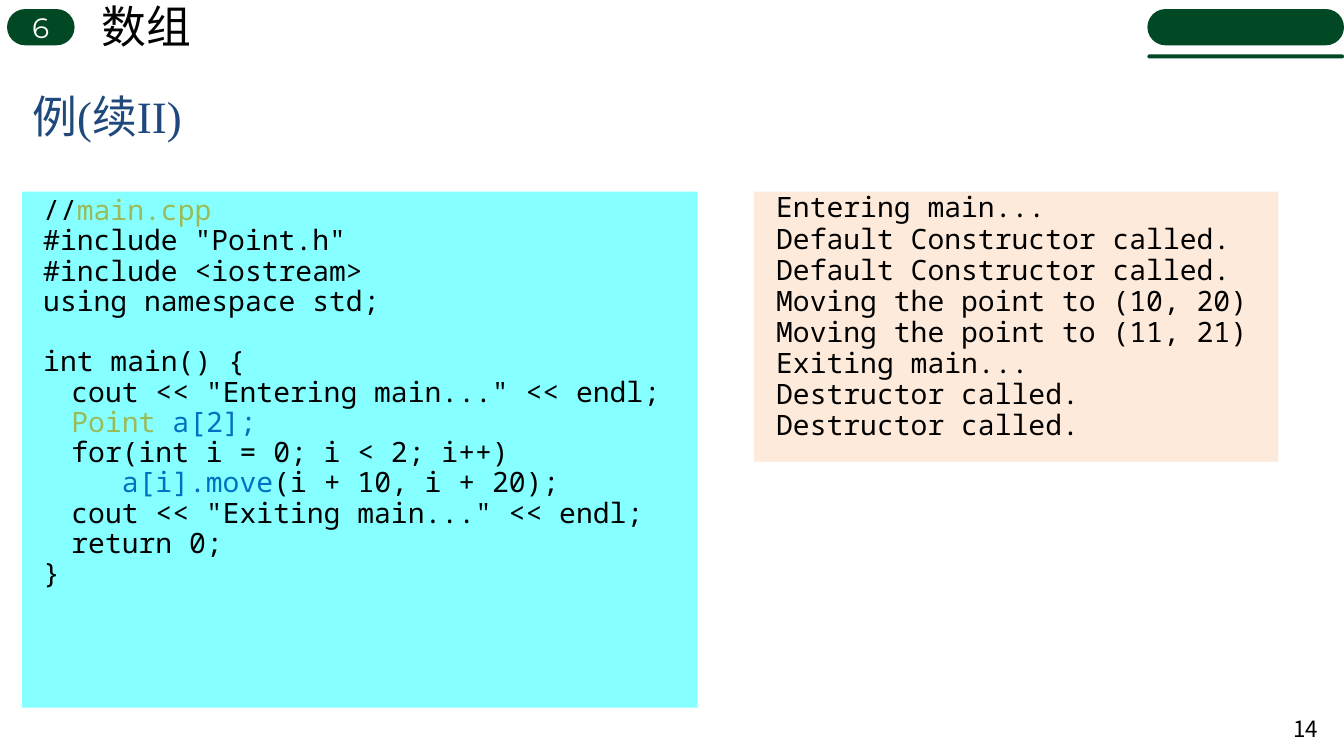
from dataclasses import dataclass

from lxml import etree
from pptx import Presentation
from pptx.dml.color import RGBColor
from pptx.enum.shapes import MSO_SHAPE
from pptx.enum.text import MSO_ANCHOR, MSO_AUTO_SIZE, PP_ALIGN
from pptx.oxml.ns import qn
from pptx.util import Inches, Pt

RECT, PILL = MSO_SHAPE.RECTANGLE, MSO_SHAPE.ROUNDED_RECTANGLE
TOP, MIDDLE = MSO_ANCHOR.TOP, MSO_ANCHOR.MIDDLE
LEFT, CENTER, RIGHT = PP_ALIGN.LEFT, PP_ALIGN.CENTER, PP_ALIGN.RIGHT
FIT_SHAPE, FIT_NONE = MSO_AUTO_SIZE.SHAPE_TO_FIT_TEXT, MSO_AUTO_SIZE.NONE


@dataclass(frozen=True)
class Theme:
    black: str = "000000"
    white: str = "FFFFFF"
    green: str = "014924"
    navy: str = "1F497D"
    olive: str = "9BBB59"
    blue: str = "0070C0"
    cyan: str = "85FFFF"
    peach: str = "FDEADA"
    heading_font: str = "Arial"
    badge_font: str = "Montserrat"
    title_font: str = "Times New Roman"
    code_font: str = "Noto Sans Mono"
    cjk_font: str = "Noto Sans CJK SC"
    title_size: int = 32
    code_size: int = 20
    number_size: int = 16


class Deck:
    def __init__(self, theme):
        self.theme = theme
        self.prs = Presentation()
        self.prs.slide_width = Inches(13.33)
        self.prs.slide_height = Inches(7.5)
        self.slide = self.prs.slides.add_slide(self.prs.slide_layouts[5])

    def run(self, p, text, size, font, color):
        r = p.add_run()
        r.text = text
        r.font.size = Pt(size)
        r.font.name = font
        r.font.color.rgb = RGBColor.from_string(color)
        etree.SubElement(r.font._element, qn("a:ea"), typeface=self.theme.cjk_font)

    def line(self, tf, text, size, font, color, align=LEFT, anchor=MIDDLE):
        tf.vertical_anchor = anchor
        p = tf.paragraphs[0]
        p.alignment = align
        self.run(p, text, size, font, color)
        return p

    def title(self, box, text):
        s = self.slide.shapes.title
        s.left, s.top, s.width, s.height = map(Inches, box)
        s.text_frame.auto_size = FIT_NONE
        t = self.theme
        p = self.line(s.text_frame, text, t.title_size, t.title_font, t.navy)
        p.line_spacing = 0.9

    def text(self, box, text, size, font, wrap=True, **layout):
        s = self.slide.shapes.add_textbox(*map(Inches, box))
        s.text_frame.word_wrap = wrap
        s.text_frame.auto_size = FIT_NONE if wrap else FIT_SHAPE
        self.line(s.text_frame, text, size, font, self.theme.black, **layout)

    def shape(self, kind, box, color):
        s = self.slide.shapes.add_shape(kind, *map(Inches, box))
        s.shadow.inherit = False
        s.fill.solid()
        s.fill.fore_color.rgb = RGBColor.from_string(color)
        s.line.fill.background()
        if kind == PILL:
            s.adjustments[0] = 0.5
        return s

    def listing(self, box, fill, lines, spacing, before=0, indent=0.39):
        t = self.theme
        tf = self.shape(RECT, box, fill).text_frame
        tf.word_wrap = True
        tf.vertical_anchor = TOP
        for i, runs in enumerate(lines):
            p = tf.add_paragraph() if i else tf.paragraphs[0]
            p.alignment = LEFT
            p.line_spacing = spacing
            p.space_before = Pt(before if i else 0)
            pPr = p._p.get_or_add_pPr()
            pPr.set("marL", str(Inches(indent)))
            pPr.set("indent", str(Inches(-0.28)))
            for text, color in runs:
                self.run(p, text, t.code_size, t.code_font, color)
            if not runs:
                end = etree.SubElement(p._p, qn("a:endParaRPr"), sz=str(t.code_size * 100))
                etree.SubElement(end, qn("a:latin"), typeface=t.code_font)


def main():
    t = Theme()
    deck = Deck(t)

    # Header: chapter badge, chapter name, corner bars
    badge = deck.shape(PILL, (0.07, 0.09, 0.67, 0.36), t.green)
    deck.line(badge.text_frame, "6", t.code_size, t.badge_font, t.white, CENTER)
    deck.text((0.91, -0.06, 1.1, 0.64), "数组", t.title_size, t.heading_font,
              wrap=False, anchor=TOP)
    for top, height in ((0.09, 0.36), (0.54, 0.04)):
        deck.shape(PILL, (11.38, top, 1.95, height), t.green)

    # Page number and title
    deck.text((12.68, 7.03, 0.49, 0.4), "14", t.number_size, t.cjk_font, align=RIGHT)
    deck.title((0.22, 0.86, 7.04, 0.64), "例(续II)")

    # Program
    code = [
        [("//", t.black), ("main.cpp", t.olive)],
        [('#include "Point.h"', t.black)],
        [("#include <iostream>", t.black)],
        [("using namespace std;", t.black)],
        [],
        [("int main() {", t.black)],
        [('\tcout << "Entering main..." << endl;', t.black)],
        [("\t", t.black), ("Point ", t.olive), ("a[2];", t.blue)],
        [("\tfor(int i = 0; i < 2; i++)", t.black)],
        [("\t\ta[i].move", t.blue), ("(i + 10, i + 20);", t.black)],
        [('\tcout << "Exiting main..." << endl;', t.black)],
        [("\treturn 0;", t.black)],
        [("}", t.black)],
    ]
    deck.listing((0.22, 1.9, 6.7, 5.12), t.cyan, code, spacing=0.9)

    # Program output
    output = [
        "Entering main...",
        "Default Constructor called.",
        "Default Constructor called.",
        "Moving the point to (10, 20)",
        "Moving the point to (11, 21)",
        "Exiting main...",
        "Destructor called.",
        "Destructor called.",
    ]
    deck.listing((7.48, 1.9, 5.2, 2.68), t.peach, [[(line, t.black)] for line in output],
                 spacing=0.8, before=3, indent=0.4)

    deck.prs.save("out.pptx")


if __name__ == "__main__":
    main()
